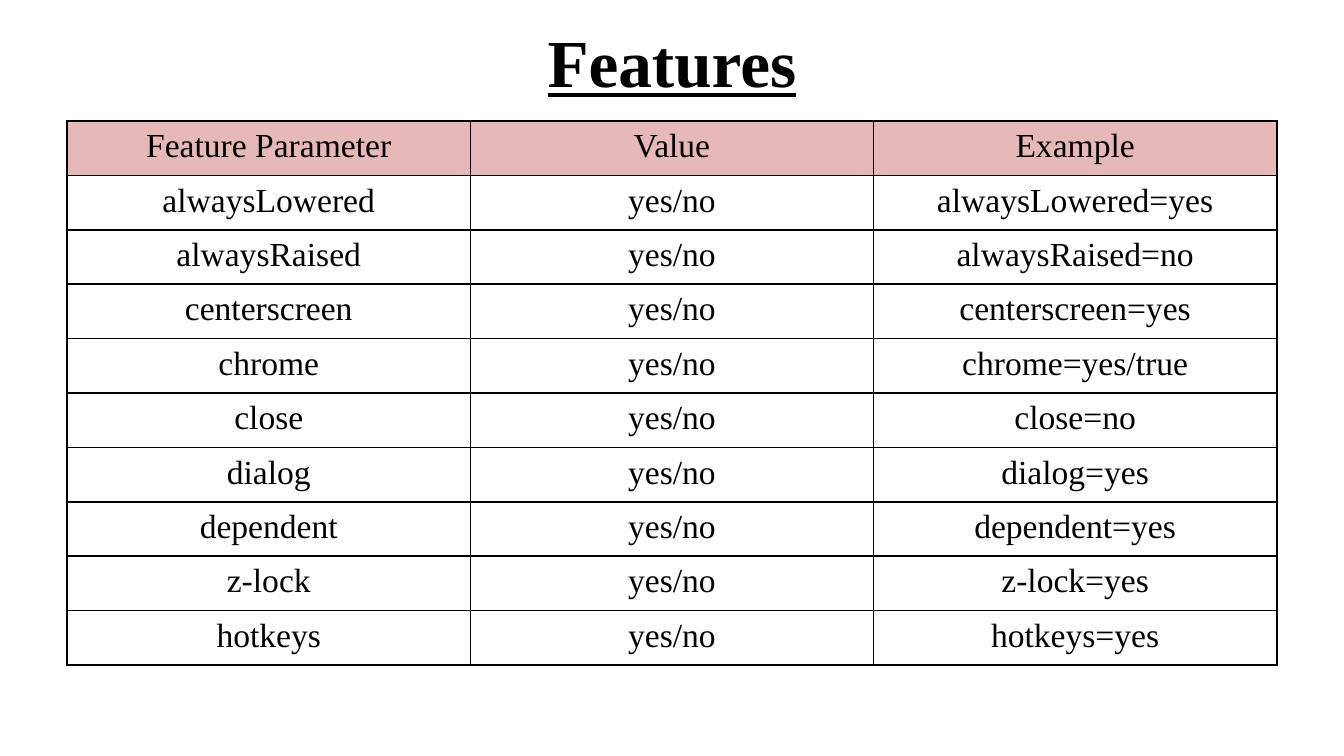
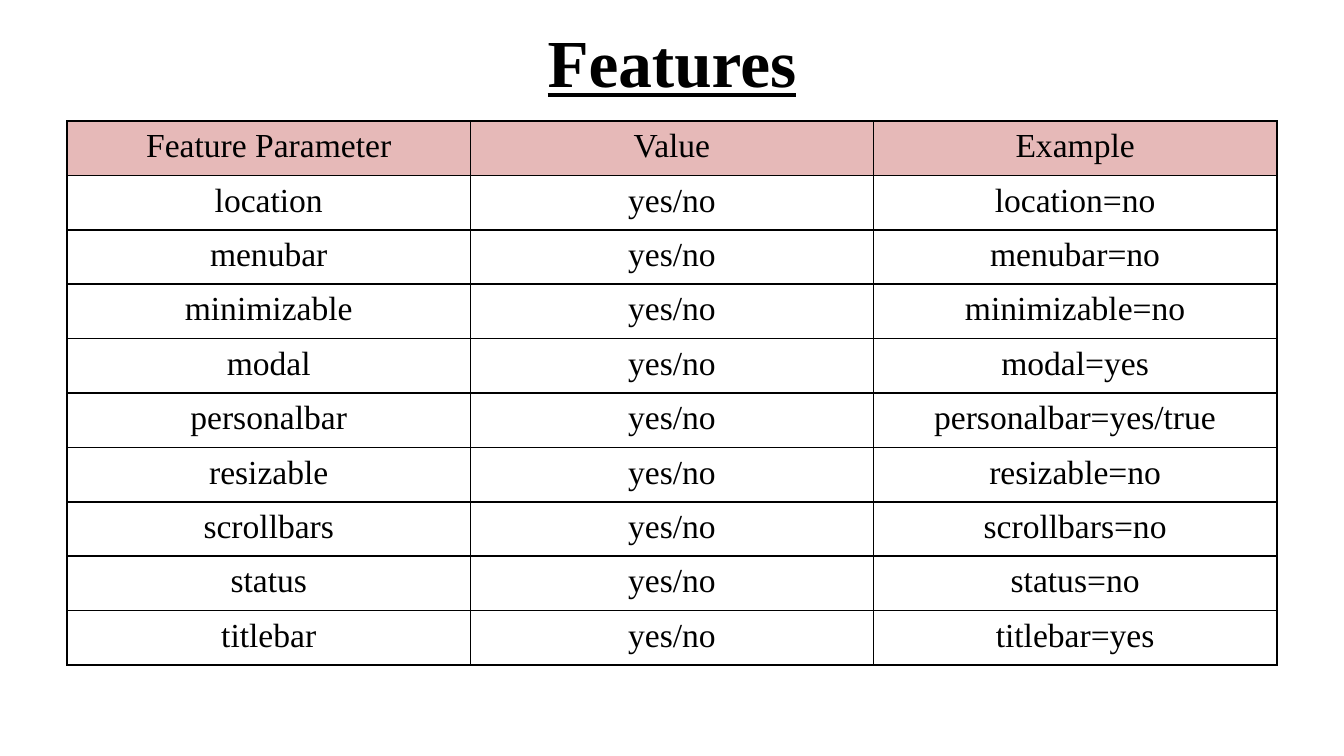
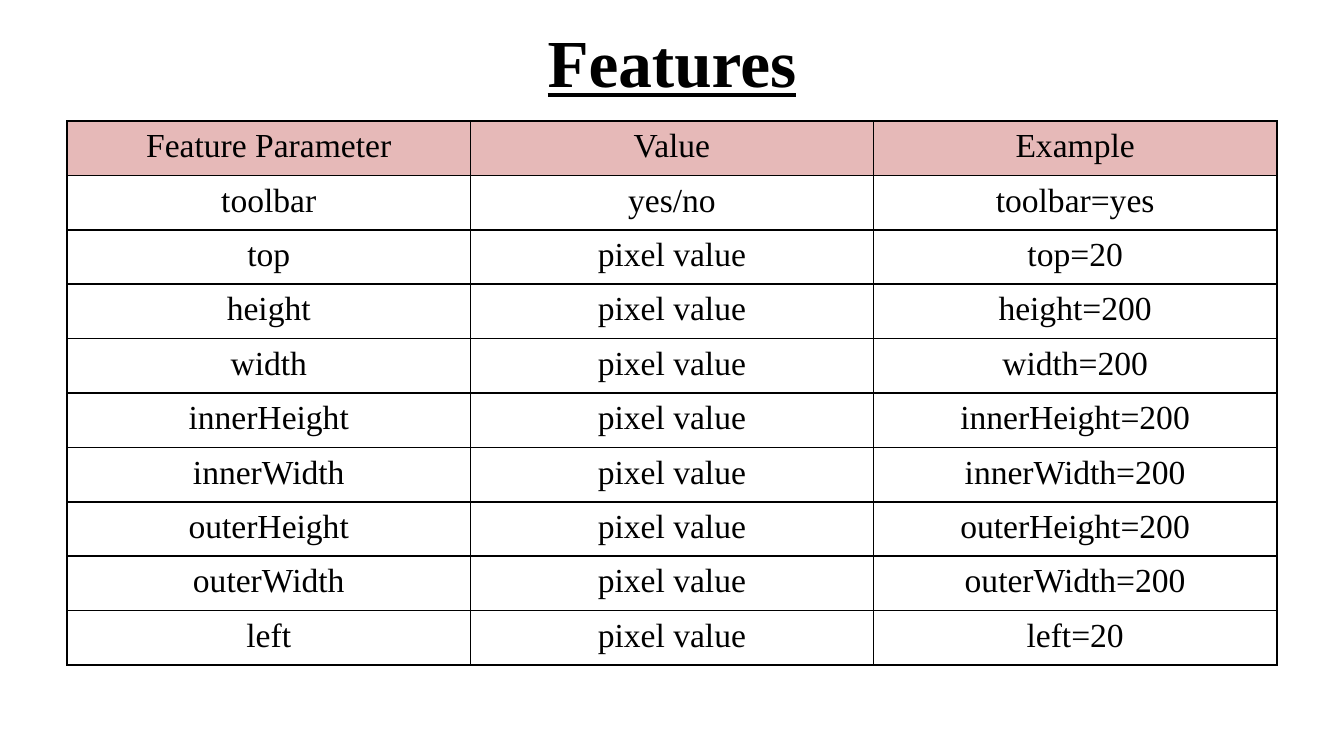
from lxml.etree import SubElement
from pptx import Presentation
from pptx.dml.color import RGBColor as RGB
from pptx.enum.text import MSO_ANCHOR as ANCHOR, PP_ALIGN as ALIGN
from pptx.oxml.ns import qn
from pptx.util import Inches, Pt

# Shared look
COLORS = {"text": "000000", "border": "000000", "header": "E6B9B8", "bg": "FFFFFF"}
FONT = "Times New Roman"
TITLE_SIZE, CELL_SIZE, BORDER = Pt(36), Pt(18), Pt(1)

# Widescreen slide, 16:9
SLIDE_W = Inches(10)
SLIDE_H = SLIDE_W * 9 // 16

# Boxes: left, top, width, height
TITLE_BOX = (Inches(0.5), Inches(-0.02), Inches(9), Inches(0.94))
TABLE_BOX = (Inches(0.5), Inches(0.9), Inches(9), Inches(4.05))

# Content: parameter, allowed value, setting used in the example
TITLE = "Features"
HEADER = ("Feature Parameter", "Value", "Example")
FLAG, PIXELS = "yes/no", "pixel value"
FEATURES = [
    [
        ("alwaysLowered", FLAG, "yes"),
        ("alwaysRaised", FLAG, "no"),
        ("centerscreen", FLAG, "yes"),
        ("chrome", FLAG, "yes/true"),
        ("close", FLAG, "no"),
        ("dialog", FLAG, "yes"),
        ("dependent", FLAG, "yes"),
        ("z-lock", FLAG, "yes"),
        ("hotkeys", FLAG, "yes"),
    ],
    [
        ("location", FLAG, "no"),
        ("menubar", FLAG, "no"),
        ("minimizable", FLAG, "no"),
        ("modal", FLAG, "yes"),
        ("personalbar", FLAG, "yes/true"),
        ("resizable", FLAG, "no"),
        ("scrollbars", FLAG, "no"),
        ("status", FLAG, "no"),
        ("titlebar", FLAG, "yes"),
    ],
    [
        ("toolbar", FLAG, "yes"),
        ("top", PIXELS, "20"),
        ("height", PIXELS, "200"),
        ("width", PIXELS, "200"),
        ("innerHeight", PIXELS, "200"),
        ("innerWidth", PIXELS, "200"),
        ("outerHeight", PIXELS, "200"),
        ("outerWidth", PIXELS, "200"),
        ("left", PIXELS, "20"),
    ],
]


def rgb(name):
    return RGB.from_string(COLORS[name])


def add_text(tf, text, size, strong=False):
    """Write one centred run; strong means bold and underlined."""
    p = tf.paragraphs[0]
    p.alignment = ALIGN.CENTER
    r = p.add_run()
    r.text = text
    r.font.name, r.font.size = FONT, size
    r.font.bold = r.font.underline = strong
    r.font.color.rgb = rgb("text")


def add_borders(cell):
    tc_pr = cell._tc.get_or_add_tcPr()
    for side in ("lnL", "lnR", "lnT", "lnB"):
        ln = SubElement(tc_pr, qn(f"a:{side}"), w=str(int(BORDER)))
        fill = SubElement(ln, qn("a:solidFill"))
        SubElement(fill, qn("a:srgbClr"), val=COLORS["border"])


def add_title(slide, box):
    sp = slide.shapes.title
    sp.left, sp.top, sp.width, sp.height = box
    tf = sp.text_frame
    tf.word_wrap = True
    tf.vertical_anchor = ANCHOR.MIDDLE
    add_text(tf, TITLE, TITLE_SIZE, strong=True)


def add_feature_table(slide, box, features):
    rows = [HEADER] + [(name, value, f"{name}={setting}")
                       for name, value, setting in features]
    table = slide.shapes.add_table(len(rows), len(HEADER), *box).table
    table.first_row = table.horz_banding = False
    for i, texts in enumerate(rows):
        for j, text in enumerate(texts):
            cell = table.cell(i, j)
            add_borders(cell)
            if i == 0:
                cell.fill.solid()
                cell.fill.fore_color.rgb = rgb("header")
            else:
                cell.fill.background()
            add_text(cell.text_frame, text, CELL_SIZE)


def add_feature_slide(prs, features):
    slide = prs.slides.add_slide(prs.slide_layouts.get_by_name("Title Only"))
    slide.background.fill.solid()
    slide.background.fill.fore_color.rgb = rgb("bg")
    add_title(slide, TITLE_BOX)
    add_feature_table(slide, TABLE_BOX, features)


def main():
    prs = Presentation()
    prs.slide_width, prs.slide_height = SLIDE_W, SLIDE_H
    for features in FEATURES:
        add_feature_slide(prs, features)
    prs.save("out.pptx")


if __name__ == "__main__":
    main()
